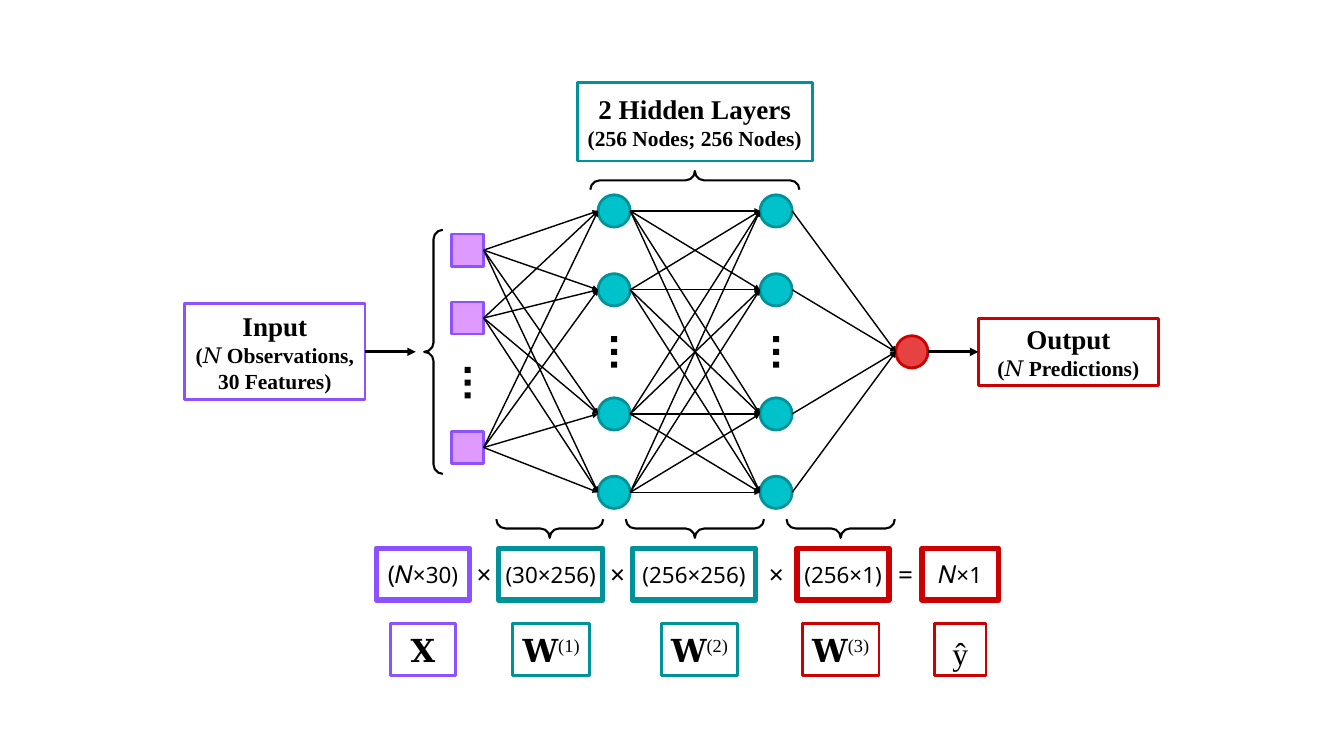
from itertools import product

from lxml.etree import SubElement
from pptx import Presentation
from pptx.dml.color import RGBColor
from pptx.enum.shapes import MSO_CONNECTOR, MSO_SHAPE as Shape
from pptx.enum.text import MSO_ANCHOR, PP_ALIGN
from pptx.oxml.ns import qn
from pptx.util import Pt

BLACK, PURPLE, LILAC = "000000", "8C52FF", "DF9AFF"
TEAL, AQUA, RED, CORAL = "009299", "00C2CB", "CC0000", "E64242"
SERIF, SANS = "Times New Roman", "Noto Sans"
hex_color = RGBColor.from_string


def draw(kind, center_x, center_y, width, height, fill=None, line=None, line_width=3):
    """Add a preset shape around its centre; all lengths are in points."""
    shape = slide.shapes.add_shape(kind, Pt(center_x - width / 2), Pt(center_y - height / 2),
                                   Pt(width), Pt(height))
    shape.shadow.inherit = False
    if fill:
        shape.fill.solid()
        shape.fill.fore_color.rgb = hex_color(fill)
    else:
        shape.fill.background()
    if line:
        shape.line.color.rgb = hex_color(line)
        shape.line.width = Pt(line_width)
    else:
        shape.line.fill.background()
    return shape


def write(shape, font_name, *lines):
    """Fill a shape with centred lines, each a list of (text, size, bold) runs."""
    frame = shape.text_frame
    frame.word_wrap = True
    frame.vertical_anchor = MSO_ANCHOR.MIDDLE
    frame.margin_left = frame.margin_right = frame.margin_top = frame.margin_bottom = Pt(7.2)
    for index, line in enumerate(lines):
        paragraph = frame.paragraphs[0] if index == 0 else frame.add_paragraph()
        paragraph.alignment = PP_ALIGN.CENTER
        for text, size, bold in line:
            run = paragraph.add_run()
            run.text = text
            run.font.name = font_name
            run.font.size = Pt(size)
            run.font.bold = bold
            run.font.color.rgb = hex_color(BLACK)


presentation = Presentation()
presentation.slide_width, presentation.slide_height = Pt(1440), Pt(810)
slide = presentation.slides.add_slide(presentation.slide_layouts[6])

# Network nodes
NODE = 34.5
MIDDLE = 377
input_x, hidden_x, output_x = 501, (658, 831.5), 977
input_ys = (268, 340.75, 479.5)
hidden_ys = (226, 310.5, 443.5, 527.5)

input_nodes = [draw(Shape.RECTANGLE, input_x, y, NODE, NODE, LILAC, PURPLE) for y in input_ys]
for x, y in product(hidden_x, hidden_ys):
    draw(Shape.OVAL, x, y, NODE, NODE, AQUA, TEAL)
draw(Shape.OVAL, output_x, MIDDLE, NODE, NODE, CORAL, RED)

# Vertical ellipses
for x, y in ((input_x, 410), (hidden_x[0], MIDDLE), (hidden_x[1], MIDDLE)):
    for step in (-1, 0, 1):
        draw(Shape.RECTANGLE, x, y + step * 13.7, 6.5, 6.5, BLACK)

# Captions
input_box = draw(Shape.RECTANGLE, 294.5, MIDDLE, 193, 103, None, PURPLE)
write(input_box, SERIF, [("Input", 29, True)],
      [("(", 23, True), ("𝑁 ", 23, False), ("Observations,", 23, True)],
      [("30 Features)", 23, True)])
hidden_box = draw(Shape.RECTANGLE, 744.5, 130.5, 252, 84, None, TEAL)
write(hidden_box, SERIF, [("2 Hidden Layers", 29, True)],
      [("(256 Nodes; 256 Nodes)", 23, True)])
output_box = draw(Shape.RECTANGLE, 1144.75, MIDDLE, 193, 72, None, RED)
write(output_box, SERIF, [("Output", 29, True)],
      [("(", 23, True), ("𝑁 ", 23, False), ("Predictions)", 23, True)])

# Arrows: start, end, width, box at the start, box at the end
half = NODE / 2
arrows = [((391, MIDDLE), (445.5, MIDDLE), 3, input_box, None),
          ((output_x + half, MIDDLE), (1048.25, MIDDLE), 3, None, output_box)]
for (node, start_y), end_y in product(zip(input_nodes, input_ys), hidden_ys):
    arrows.append(((input_x + half, start_y), (hidden_x[0] - half, end_y), 1.5, node, None))
for start_y, end_y in product(hidden_ys, hidden_ys):
    arrows.append(((hidden_x[0] + half, start_y), (hidden_x[1] - half, end_y), 1.5, None, None))
for start_y in hidden_ys:
    arrows.append(((hidden_x[1] + half, start_y), (output_x - half, MIDDLE), 1.5, None, None))

for start, end, width, start_box, end_box in arrows:
    arrow = slide.shapes.add_connector(MSO_CONNECTOR.STRAIGHT, Pt(start[0]), Pt(start[1]),
                                       Pt(end[0]), Pt(end[1]))
    if start_box:
        arrow.begin_connect(start_box, 3)
    if end_box:
        arrow.end_connect(end_box, 1)
    arrow.line.color.rgb = hex_color(BLACK)
    arrow.line.width = Pt(width)
    SubElement(arrow.line._get_or_add_ln(), qn("a:tailEnd"), type="triangle")
    SubElement(arrow._element.spPr, qn("a:effectLst"))

# Braces: centre, length, rotation
for x, y, length, rotation in ((464.5, MIDDLE, 261.5, 0), (744.5, 193.25, 224, 90),
                               (589, 566.25, 114.5, 270), (744.5, 566.25, 148, 270),
                               (900.75, 566.25, 116, 270)):
    brace = draw(Shape.LEFT_BRACE, x, y, 20, length, None, BLACK, 2.25)
    brace.adjustments[0] = 0.5
    brace.rotation = rotation

# Matrix sizes with the operators in the gaps between them
SIZES_Y, SYMBOLS_Y, ROW_HEIGHT = 615.25, 696, 55.5
sizes = ((453.25, 100, PURPLE, [("(𝑁", 26, False), ("×30)", 24, False)]),
         (590, 111.5, TEAL, [("(30×256)", 24, False)]),
         (743.5, 132, TEAL, [("(256×256)", 24, False)]),
         (903.25, 98.5, RED, [("(256×1)", 24, False)]),
         (1029, 82, RED, [("𝑁", 26, False), ("×1", 24, False)]))
for x, width, color, runs in sizes:
    write(draw(Shape.RECTANGLE, x, SIZES_Y, width, ROW_HEIGHT, None, color, 6), SANS, runs)
for before, after, operator in zip(sizes, sizes[1:], "×××="):
    gap_x = (before[0] + before[1] / 2 + after[0] - after[1] / 2) / 2
    operator_box = slide.shapes.add_textbox(Pt(gap_x - 20), Pt(SIZES_Y - 23), Pt(40), Pt(46))
    write(operator_box, SANS, [(operator, 28, False)])

# Matrix symbols
for x, width, color, symbol, layer in ((453.25, 70, PURPLE, "𝐗", ""),
                                       (590.5, 82, TEAL, "𝐖", "(1)"),
                                       (749.5, 82, TEAL, "𝐖", "(2)"),
                                       (900.75, 82, RED, "𝐖", "(3)"),
                                       (1029, 55, RED, "ŷ", "")):
    box = draw(Shape.RECTANGLE, x, SYMBOLS_Y, width, ROW_HEIGHT, None, color)
    write(box, SERIF, [(text, 34, False) for text in (symbol, layer) if text])
    paragraph = box.text_frame.paragraphs[0]
    if layer:
        paragraph.runs[1].font._element.set("baseline", "30000")
    if symbol == "ŷ":
        paragraph.line_spacing = 1.15

presentation.save("out.pptx")
